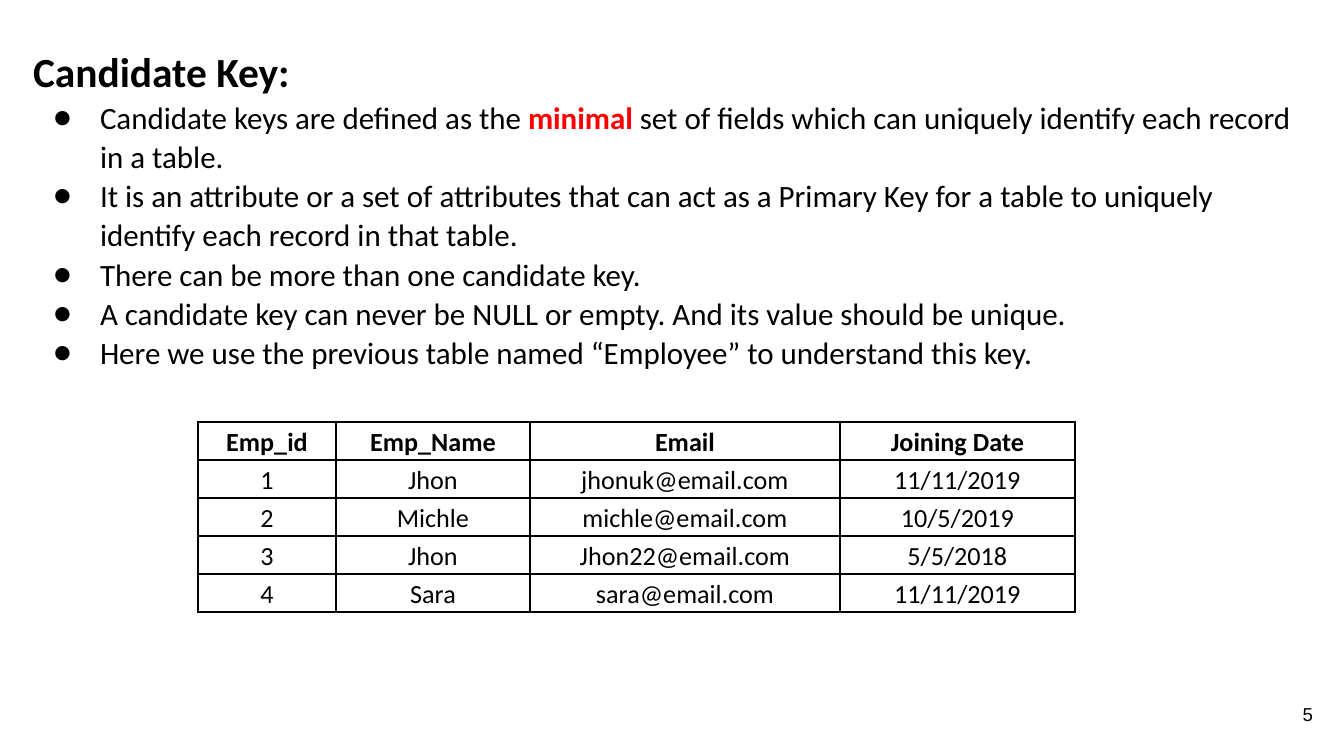
from lxml import etree
from pptx import Presentation
from pptx.dml.color import RGBColor
from pptx.enum.text import MSO_ANCHOR, MSO_AUTO_SIZE, PP_ALIGN
from pptx.oxml.ns import qn
from pptx.util import Pt

LEFT, CENTER, RIGHT = PP_ALIGN.LEFT, PP_ALIGN.CENTER, PP_ALIGN.RIGHT
TOP, MIDDLE = MSO_ANCHOR.TOP, MSO_ANCHOR.MIDDLE
NO_FIT = MSO_AUTO_SIZE.NONE

EMU_PER_PX = 914400 / 134.4
COLORS = {"ink": "000000", "accent": "FF0000"}

HEADING = "Candidate Key:"
POINTS = [
    [("Candidate keys are defined as the ", False), ("minimal", True),
     (" set of fields which can uniquely identify each record in a table.", False)],
    [("It is an attribute or a set of attributes that can act as a Primary Key "
      "for a table to uniquely identify each record in that table.", False)],
    [("There can be more than one candidate key.", False)],
    [("A candidate key can never be NULL or empty. And its value should be unique.", False)],
    [("Here we use the previous table named “Employee” to understand this key.", False)],
]
EMPLOYEES = [
    ["Emp_id", "Emp_Name", "Email", "Joining Date"],
    ["1", "Jhon", "jhonuk@email.com", "11/11/2019"],
    ["2", "Michle", "michle@email.com", "10/5/2019"],
    ["3", "Jhon", "Jhon22@email.com", "5/5/2018"],
    ["4", "Sara", "sara@email.com", "11/11/2019"],
]
COLUMN_WIDTHS = [138, 194, 310, 235]


def px(length):
    return round(length * EMU_PER_PX)


def set_values(target, values):
    for name, value in values.items():
        setattr(target, name, value)


def place(shape, box):
    set_values(shape, dict(zip(("left", "top", "width", "height"), map(px, box))))


def format_frame(frame, anchor, insets):
    sides = ("margin_left", "margin_top", "margin_right", "margin_bottom")
    set_values(frame, dict(zip(sides, map(px, insets))))
    set_values(frame, {"word_wrap": True, "auto_size": NO_FIT, "vertical_anchor": anchor})


def format_para(para, align, spacing):
    set_values(para, {"alignment": align, "line_spacing": spacing,
                      "space_before": Pt(0), "space_after": Pt(0)})


def add_span(para, text, size, bold=False, font="Calibri", color="ink"):
    span = para.add_run()
    span.text = text
    set_values(span.font, {"name": font, "size": Pt(size), "bold": bold})
    span.font.color.rgb = RGBColor.from_string(COLORS[color])


def add_bullet(para):
    props = para._p.get_or_add_pPr()
    props.set("marL", str(px(67)))
    props.set("indent", str(px(-47)))
    color = etree.SubElement(props, qn("a:buClr"))
    etree.SubElement(color, qn("a:srgbClr"), val=COLORS["ink"])
    etree.SubElement(props, qn("a:buFont"), typeface="Calibri")
    etree.SubElement(props, qn("a:buChar"), char="●")


def fill_heading(page, box):
    title = page.shapes.title
    place(title, box)
    format_frame(title.text_frame, TOP, (13, 13, 13, 0))
    para = title.text_frame.paragraphs[0]
    format_para(para, LEFT, 1.05)
    add_span(para, HEADING, 22.2, bold=True)


def fill_points(page, box):
    body = page.placeholders[1]
    place(body, box)
    frame = body.text_frame
    format_frame(frame, TOP, (13, 0, 13, 13))
    for index, point in enumerate(POINTS):
        para = frame.add_paragraph() if index else frame.paragraphs[0]
        format_para(para, LEFT, 1.05)
        add_bullet(para)
        for text, stressed in point:
            add_span(para, text, 16.6, stressed, color="accent" if stressed else "ink")


def add_borders(cell):
    props = cell._tc.get_or_add_tcPr()
    for side in ("lnL", "lnR", "lnT", "lnB"):
        line = etree.SubElement(props, qn(f"a:{side}"), w=str(Pt(1)))
        fill = etree.SubElement(line, qn("a:solidFill"))
        etree.SubElement(fill, qn("a:srgbClr"), val=COLORS["ink"])


def add_employee_table(page, box):
    left, top, width, height = map(px, box)
    table = page.shapes.add_table(len(EMPLOYEES), len(COLUMN_WIDTHS),
                                  left, top, width, height).table
    set_values(table, {"first_row": False, "horz_banding": False})
    for column, column_width in zip(table.columns, COLUMN_WIDTHS):
        column.width = px(column_width)
    for row_index, record in enumerate(EMPLOYEES):
        for column_index, text in enumerate(record):
            cell = table.cell(row_index, column_index)
            set_values(cell, {"margin_left": px(9), "margin_right": px(9),
                              "margin_top": 0, "margin_bottom": 0})
            add_borders(cell)
            cell.fill.background()
            para = cell.text_frame.paragraphs[0]
            format_para(para, CENTER, 1.15)
            add_span(para, text, 14, bold=row_index == 0)


def add_page_number(page, box):
    number = page.shapes.add_textbox(*map(px, box))
    format_frame(number.text_frame, MIDDLE, (13, 13, 13, 13))
    para = number.text_frame.paragraphs[0]
    format_para(para, RIGHT, 1.0)
    add_span(para, "5", 10, font="Arial")


def main():
    deck = Presentation()
    set_values(deck, {"slide_width": px(1344), "slide_height": px(756)})
    page = deck.slides.add_slide(deck.slide_layouts[1])
    fill_heading(page, (20, 31, 1300, 66))
    fill_points(page, (20, 97, 1300, 304))
    add_employee_table(page, (198, 422, sum(COLUMN_WIDTHS), 38 * len(EMPLOYEES)))
    add_page_number(page, (1246, 685, 80, 58))
    deck.save("out.pptx")


if __name__ == "__main__":
    main()
